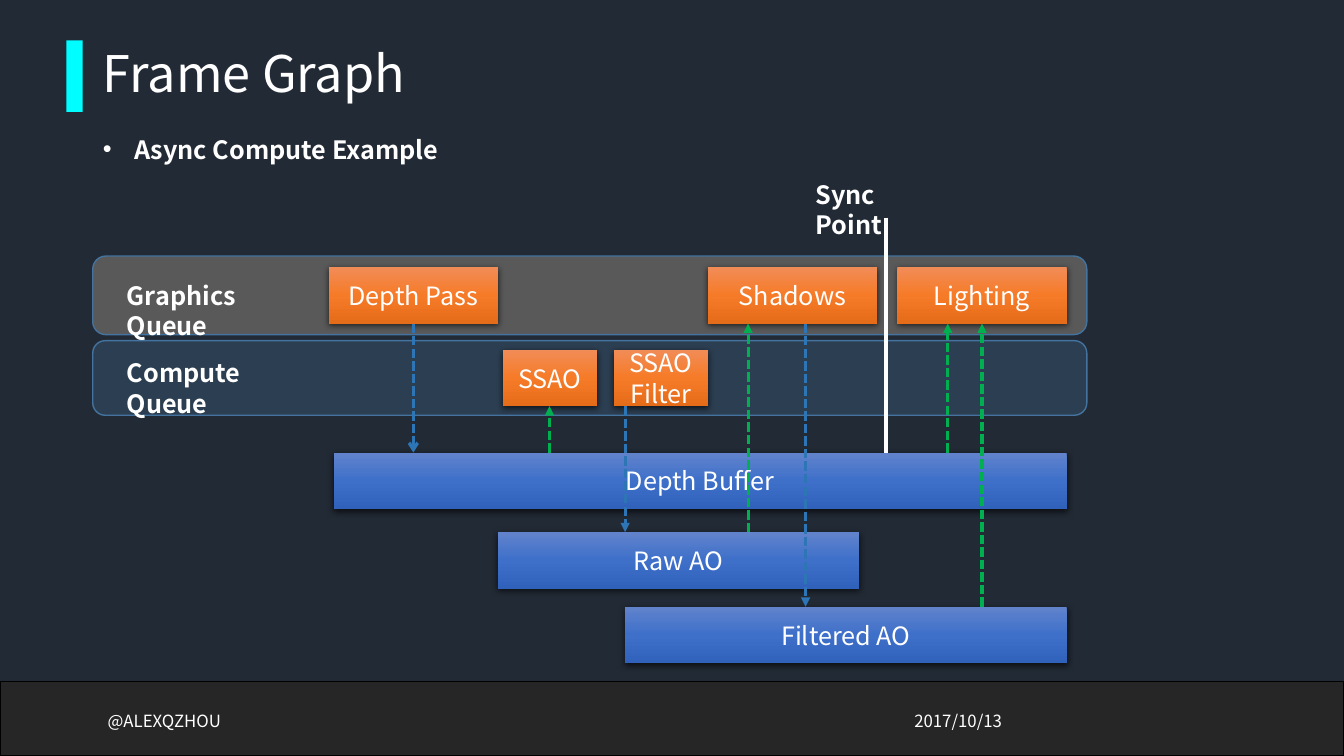
from pptx import Presentation
from pptx.dml.color import RGBColor
from pptx.enum.dml import MSO_LINE_DASH_STYLE as Dash
from pptx.enum.shapes import MSO_CONNECTOR as Connector, MSO_SHAPE as Preset
from pptx.enum.text import MSO_ANCHOR as Anchor, MSO_AUTO_SIZE as AutoSize, PP_ALIGN as Align
from pptx.oxml import parse_xml
from pptx.oxml.ns import nsdecls, qn
from pptx.util import Inches, Pt

COLORS = {
    "background": "222A35", "footer": "262626", "accent": "00FDFF",
    "text": "FFFFFF", "black": "000000", "lane edge": "43739E",
    "graphics": "595959", "compute": "5B9BD5",
    "write": "2E75B6", "read": "00B050",
}
GRADIENTS = {
    "pass": ("F18C57", "F67B28", "E56C19"),
    "resource": ("6183CB", "3E70CA", "3062BB"),
}
FONT = "Noto Sans CJK SC"
WIDTH, HEIGHT = 13.33, 7.5
MARGIN = 0.92
BOX_HEIGHT = 0.56
TEXT_HEIGHT = 0.4
# Tops of the rows of boxes
ROWS = {"graphics": 2.65, "compute": 3.47, "depth": 4.49, "raw": 5.28, "filtered": 6.02}


def color(name):
    return RGBColor.from_string(COLORS[name])


def add_xml(parent, xml):
    """Append a DrawingML fragment whose first tag lacks its namespace."""
    tag_end = min(xml.index(mark) for mark in " />" if mark in xml)
    parent.append(parse_xml(f"{xml[:tag_end]} {nsdecls('a')}{xml[tag_end:]}"))


def write(shape, text, size=18, bold=False, align=Align.LEFT, anchor=Anchor.TOP, spacing=None):
    frame = shape.text_frame
    frame.word_wrap = True
    frame.auto_size = AutoSize.NONE
    frame.vertical_anchor = anchor
    paragraph = frame.paragraphs[0]
    paragraph.alignment = align
    paragraph.line_spacing = spacing
    paragraph.space_before = Pt(0)
    run = paragraph.add_run()
    run.text = text
    run.font.name, run.font.size, run.font.bold = FONT, Pt(size), bold
    run.font.color.rgb = color("text")
    return paragraph


deck = Presentation()
deck.slide_width, deck.slide_height = Inches(WIDTH), Inches(HEIGHT)
slide = deck.slides.add_slide(deck.slide_layouts[1])
slide.background.fill.solid()
slide.background.fill.fore_color.rgb = color("background")
shapes = slide.shapes

# Title and bullet
title, body = slide.placeholders
for placeholder, top, width, height in ((title, 0.4, 11.5, 0.71), (body, 1.28, 10.91, TEXT_HEIGHT)):
    placeholder.left, placeholder.top = Inches(MARGIN), Inches(top)
    placeholder.width, placeholder.height = Inches(width), Inches(height)
write(title, "Frame Graph", size=36, anchor=Anchor.MIDDLE, spacing=0.9)
bullet = write(body, "Async Compute Example", bold=True)._p.get_or_add_pPr()
bullet.set("marL", str(Inches(0.31)))
bullet.set("indent", str(-Inches(0.31)))
add_xml(bullet, '<a:buFont typeface="Arial"/>')
add_xml(bullet, '<a:buChar char="•"/>')

# Footer band, title accent and the two queue lanes
for preset, left, top, width, height, fill, edge, opacity in (
    (Preset.RECTANGLE, 0, 6.76, WIDTH, 0.74, "footer", "black", 100),
    (Preset.RECTANGLE, 0.66, 0.4, 0.16, 0.71, "accent", None, 100),
    (Preset.ROUNDED_RECTANGLE, MARGIN, 2.54, 9.86, 0.78, "graphics", "lane edge", 100),
    (Preset.ROUNDED_RECTANGLE, MARGIN, 3.38, 9.86, 0.74, "compute", "lane edge", 18),
):
    panel = shapes.add_shape(preset, Inches(left), Inches(top), Inches(width), Inches(height))
    panel.shadow.inherit = False
    panel.fill.solid()
    panel.fill.fore_color.rgb = color(fill)
    if opacity < 100:
        fill_color = panel._element.spPr.find(f"{qn('a:solidFill')}/{qn('a:srgbClr')}")
        add_xml(fill_color, f'<a:alpha val="{opacity * 1000}"/>')
    if edge:
        panel.line.color.rgb = color(edge)
        panel.line.width = Pt(1)
    else:
        panel.line.fill.background()

# Labels
for text, left, top, width, style in (
    ("2017/10/13", 8.97, 6.95, 3, {"size": 12, "anchor": Anchor.MIDDLE}),
    ("@ALEXQZHOU", MARGIN, 6.95, 1.42, {"size": 12, "anchor": Anchor.MIDDLE, "align": Align.CENTER}),
    ("Graphics Queue", 1.16, 2.73, 1.8, {"bold": True}),
    ("Compute Queue", 1.16, 3.5, 1.8, {"bold": True}),
    ("Sync Point", 7.99, 1.73, 1.1, {"bold": True}),
):
    label = shapes.add_textbox(Inches(left), Inches(top), Inches(width), Inches(TEXT_HEIGHT))
    write(label, text, **style)

# Passes and resources
for text, kind, row, left, width in (
    ("Depth Pass", "pass", "graphics", 3.26, 1.68),
    ("SSAO", "pass", "compute", 4.99, 0.93),
    ("SSAO Filter", "pass", "compute", 6.09, 0.93),
    ("Shadows", "pass", "graphics", 7.02, 1.68),
    ("Lighting", "pass", "graphics", 8.9, 1.68),
    ("Depth Buffer", "resource", "depth", 3.31, 7.27),
    ("Raw AO", "resource", "raw", 4.94, 3.58),
    ("Filtered AO", "resource", "filtered", 6.2, 4.38),
):
    box = shapes.add_shape(Preset.FLOWCHART_PROCESS, Inches(left), Inches(ROWS[row]),
                           Inches(width), Inches(BOX_HEIGHT))
    stops = "".join(f'<a:gs pos="{i * 50000}"><a:srgbClr val="{stop}"/></a:gs>'
                    for i, stop in enumerate(GRADIENTS[kind]))
    properties = box._element.spPr
    add_xml(properties, f'<a:gradFill><a:gsLst>{stops}</a:gsLst><a:lin ang="5400000"/></a:gradFill>')
    box.line.fill.background()
    add_xml(properties, f'<a:effectLst><a:outerShdw blurRad="{Pt(4.5)}" dist="{Pt(1.5)}" dir="5400000">'
            f'<a:srgbClr val="{COLORS["black"]}"><a:alpha val="63000"/></a:srgbClr>'
            '</a:outerShdw></a:effectLst>')
    write(box, text, align=Align.CENTER, anchor=Anchor.MIDDLE)

# Sync line, then writes going down and reads going up
graphics_bottom = ROWS["graphics"] + BOX_HEIGHT
compute_bottom = ROWS["compute"] + BOX_HEIGHT
for x, start, end, stroke, head in (
    (8.79, 2.16, ROWS["depth"], "text", None),
    (4.1, graphics_bottom, ROWS["depth"], "write", "arrow"),
    (5.45, ROWS["depth"], compute_bottom, "read", "triangle"),
    (6.2, compute_bottom, ROWS["raw"], "write", "triangle"),
    (9.74, ROWS["filtered"], graphics_bottom, "read", "triangle"),
    (7.42, ROWS["raw"], graphics_bottom, "read", "triangle"),
    (7.99, graphics_bottom, ROWS["filtered"], "write", "triangle"),
    (9.4, ROWS["depth"], graphics_bottom, "read", "triangle"),
):
    link = shapes.add_connector(Connector.STRAIGHT, Inches(x), Inches(start), Inches(x), Inches(end))
    link.line.color.rgb = color(stroke)
    link.line.width = Pt(2.25 if head else 3)
    if head:
        link.line.dash_style = Dash.SQUARE_DOT
        add_xml(link.line._get_or_add_ln(), f'<a:tailEnd type="{head}"/>')
    add_xml(link._element.spPr, "<a:effectLst/>")

deck.save("out.pptx")
